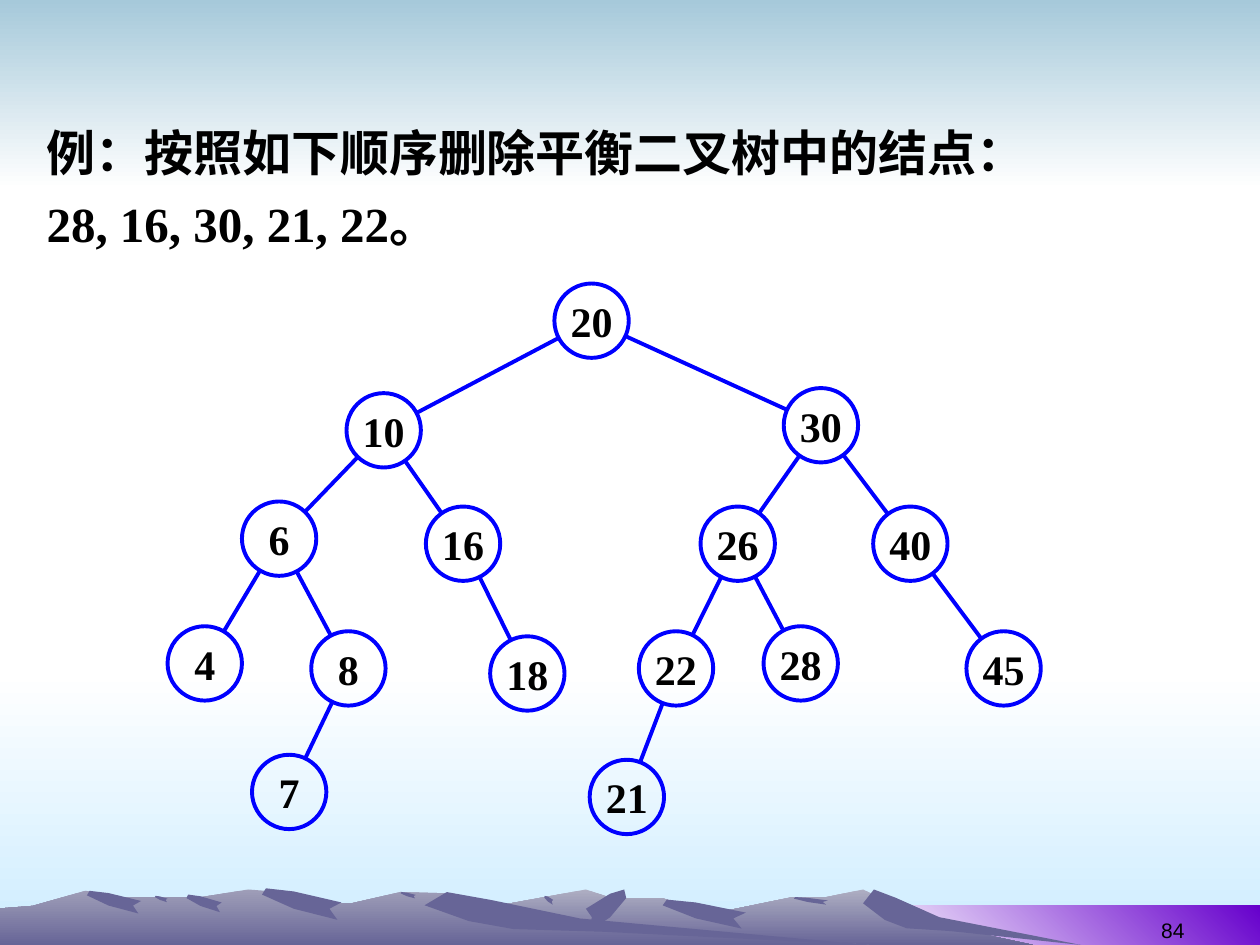
from math import hypot

from lxml import etree
from pptx import Presentation
from pptx.dml.color import RGBColor
from pptx.enum.shapes import MSO_CONNECTOR, MSO_SHAPE
from pptx.enum.text import MSO_ANCHOR, MSO_AUTO_SIZE, PP_ALIGN
from pptx.oxml.ns import qn
from pptx.util import Inches, Pt

STRAIGHT = MSO_CONNECTOR.STRAIGHT
RECTANGLE, OVAL = MSO_SHAPE.RECTANGLE, MSO_SHAPE.OVAL
MIDDLE, TOP, BOTTOM = MSO_ANCHOR.MIDDLE, MSO_ANCHOR.TOP, MSO_ANCHOR.BOTTOM
CENTER, RIGHT, LEFT = PP_ALIGN.CENTER, PP_ALIGN.RIGHT, PP_ALIGN.LEFT
NO_AUTOFIT = MSO_AUTO_SIZE.NONE

COLORS = {
    "white": "FFFFFF", "ice": "CCECFF", "sky": "A6C9DA", "violet": "6600CC",
    "far": "AEAEC2", "near": "9F9EB8", "rock": "676597",
    "blue": "0000FF", "black": "000000",
}
SERIF, SANS = "Times New Roman", "Arial"
DOWN, UP_RIGHT = 270, 45
SLIDE_WIDTH, SLIDE_HEIGHT = 10, 7.5

LINES = ["例：按照如下顺序删除平衡二叉树中的结点：", "28, 16, 30, 21, 22。"]
PAGE_NUMBER = "84"

NODE_SIZE = 0.59
NODES = {
    "20": (4.4, 2.25),
    "10": (2.75, 3.12), "30": (6.22, 3.08),
    "6": (1.92, 3.98), "16": (3.38, 4.02), "26": (5.56, 4.02), "40": (6.93, 4.02),
    "4": (1.33, 4.97), "8": (2.47, 5.01), "18": (3.89, 5.05),
    "22": (5.07, 5.01), "28": (6.06, 4.97), "45": (7.67, 5.01),
    "7": (2, 5.99), "21": (4.68, 6.03),
}
CHILDREN = {
    "20": ["10", "30"], "10": ["6", "16"], "30": ["26", "40"],
    "6": ["4", "8"], "16": ["18"], "26": ["22", "28"], "40": ["45"],
    "8": ["7"], "22": ["21"],
}

BANDS = [
    (0, 5.33, SLIDE_WIDTH, 2.17, "white", "ice", DOWN),
    (0, 0, SLIDE_WIDTH, 1.5, "sky", "white", DOWN),
    (6.83, 7.19, 3.17, 0.31, "white", "violet", UP_RIGHT),
]
FACETS = {
    "crag": [(0.05, 0), (0, 0.2), (0.4, 0.65), (0.95, 1), (0.85, 0.65),
             (1, 0.45), (0.4, 0.1)],
    "slope": [(0.05, 0), (0, 0.25), (0.1, 0.55), (0.2, 0.7), (0.4, 0.75),
              (1, 1), (0.35, 0.5), (0.15, 0.15)],
}
FACETS["left crag"] = [(1 - x, y) for x, y in FACETS["crag"]]
MOUNTAINS = [
    {
        "color": "far",
        "ridge": [(2.58, 7.5), (3.27, 7.31), (3.94, 7.19), (4.65, 7.06),
                  (4.86, 7.13), (5.26, 7.13), (5.66, 7.25), (6.29, 7.12),
                  (6.56, 7.12), (6.85, 7.06), (7.23, 7.25), (7.64, 7.38),
                  (8.2, 7.5)],
        "facets": [("slope", 6.85, 7.06, 1.73, 0.44),
                   ("left crag", 4.65, 7.06, 0.32, 0.34),
                   ("crag", 5.26, 7.14, 0.66, 0.23),
                   ("crag", 6.3, 7.12, 0.27, 0.06),
                   ("crag", 4.32, 7.11, 0.07, 0.07)],
    },
    {
        "color": "near",
        "ridge": [(0, 7.5), (0, 7.21), (0.26, 7.19), (0.68, 7.07),
                  (0.94, 7.12), (1.6, 7.12), (1.97, 7.06), (2.23, 7.08),
                  (2.36, 7.17), (2.79, 7.17), (3.18, 7.08), (3.54, 7.09),
                  (4.32, 7.32), (6.9, 7.5)],
        "facets": [("crag", 2.08, 7.05, 0.63, 0.25),
                   ("slope", 3.37, 7.08, 3.53, 0.42),
                   ("crag", 3.18, 7.08, 0.12, 0.05),
                   ("crag", 1.48, 7.1, 0.28, 0.14),
                   ("crag", 1.23, 7.11, 0.1, 0.05),
                   ("crag", 0.69, 7.07, 0.43, 0.18)],
    },
]


def rgb(name):
    return RGBColor.from_string(COLORS[name])


def paint(shape, first, last=None, angle=DOWN):
    shape.shadow.inherit = False
    shape.line.fill.background()
    if last is None:
        shape.fill.solid()
        shape.fill.fore_color.rgb = rgb(first)
        return
    shape.fill.gradient()
    shape.fill.gradient_angle = angle
    for stop, name in zip(shape.fill.gradient_stops, (first, last)):
        stop.color.rgb = rgb(name)


def add_outline(slide, points, first, last=None):
    corners = [(Inches(x), Inches(y)) for x, y in points]
    builder = slide.shapes.build_freeform(*corners[0])
    builder.add_line_segments(corners[1:], close=True)
    paint(builder.convert_to_shape(), first, last)


def add_bands(slide):
    for *box, first, last, angle in BANDS:
        band = slide.shapes.add_shape(RECTANGLE, *map(Inches, box))
        paint(band, first, last, angle)


def add_mountain(slide, color, ridge, facets):
    add_outline(slide, ridge, color, "rock")
    for kind, left, top, width, height in facets:
        points = [(left + x * width, top + y * height) for x, y in FACETS[kind]]
        add_outline(slide, points, "rock")


def write(paragraph, text, font_name, size, bold, alignment):
    paragraph.alignment = alignment
    run = paragraph.add_run()
    run.text = text
    run.font.name = font_name
    run.font.size = Pt(size)
    run.font.bold = bold
    run.font.color.rgb = rgb("black")


def fill_body(body):
    body.left, body.top = Inches(0.27), Inches(0.83)
    body.width, body.height = Inches(9.73), Inches(1.45)
    frame = body.text_frame
    frame.auto_size = NO_AUTOFIT
    frame.vertical_anchor = TOP
    for index, text in enumerate(LINES):
        paragraph = frame.add_paragraph() if index else frame.paragraphs[0]
        properties = paragraph._p.get_or_add_pPr()
        properties.set("marL", str(Inches(0.38)))
        properties.set("indent", str(Inches(-0.38)))
        etree.SubElement(properties, qn("a:buNone"))
        paragraph.line_spacing = 1.2
        paragraph.space_before = Pt(0)
        write(paragraph, text, SERIF, 28, True, LEFT)


def add_page_number(slide):
    box = slide.shapes.add_textbox(
        Inches(7.17), Inches(7.03), Inches(2.33), Inches(0.5))
    box.text_frame.word_wrap = True
    box.text_frame.vertical_anchor = BOTTOM
    write(box.text_frame.paragraphs[0], PAGE_NUMBER, SANS, 12, False, RIGHT)


def outline_blue(line):
    line.color.rgb = rgb("blue")
    line.width = Pt(2.25)


def add_node(slide, label):
    left, top = NODES[label]
    node = slide.shapes.add_shape(
        OVAL, Inches(left), Inches(top), Inches(NODE_SIZE), Inches(NODE_SIZE))
    node.shadow.inherit = False
    node.fill.background()
    outline_blue(node.line)
    frame = node.text_frame
    frame.word_wrap = False
    frame.vertical_anchor = MIDDLE
    frame.margin_top = frame.margin_bottom = 0
    write(frame.paragraphs[0], label, SERIF, 24, True, CENTER)


def add_edge(slide, parent, child):
    radius = NODE_SIZE / 2
    (start_x, start_y), (end_x, end_y) = [
        (left + radius, top + radius) for left, top in (NODES[parent], NODES[child])]
    distance = hypot(end_x - start_x, end_y - start_y)
    trim_x = (end_x - start_x) * radius / distance
    trim_y = (end_y - start_y) * radius / distance
    edge = slide.shapes.add_connector(
        STRAIGHT, Inches(start_x + trim_x), Inches(start_y + trim_y),
        Inches(end_x - trim_x), Inches(end_y - trim_y))
    outline_blue(edge.line)
    etree.SubElement(edge._element.spPr, qn("a:effectLst"))


def main():
    presentation = Presentation()
    presentation.slide_width = Inches(SLIDE_WIDTH)
    presentation.slide_height = Inches(SLIDE_HEIGHT)
    slide = presentation.slides.add_slide(presentation.slide_layouts[1])
    title, body = slide.placeholders
    tree = body.element.getparent()
    tree.remove(title.element)
    add_bands(slide)
    for mountain in MOUNTAINS:
        add_mountain(slide, **mountain)
    tree.append(body.element)
    fill_body(body)
    add_page_number(slide)
    for label in NODES:
        add_node(slide, label)
    for parent, children in CHILDREN.items():
        for child in children:
            add_edge(slide, parent, child)
    presentation.save("out.pptx")


if __name__ == "__main__":
    main()
